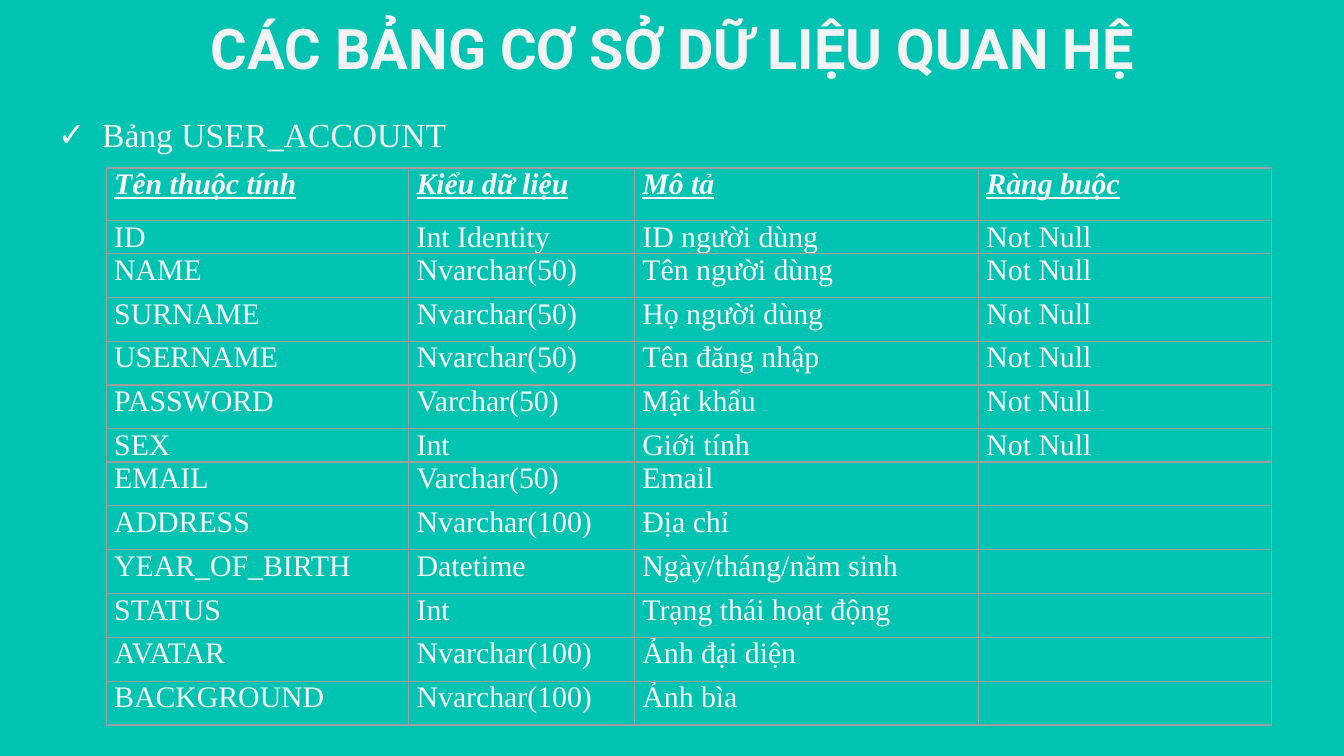
import pptx
import pptx.util
import pptx.dml.color
import pptx.enum.text
import pptx.oxml
import pptx.oxml.ns
from lxml import etree

Inches, Pt = pptx.util.Inches, pptx.util.Pt
RGBColor = pptx.dml.color.RGBColor
PP_ALIGN, MSO_ANCHOR = pptx.enum.text.PP_ALIGN, pptx.enum.text.MSO_ANCHOR
qn = pptx.oxml.ns.qn

# Content
TITLE = "CÁC BẢNG CƠ SỞ DỮ LIỆU QUAN HỆ"
SUBTITLE = "Bảng USER_ACCOUNT"
HEADER = ("Tên thuộc tính", "Kiểu dữ liệu", "Mô tả", "Ràng buộc")
ATTRIBUTES = [
    ("ID", "Int Identity", "ID người dùng", "Not Null"),
    ("NAME", "Nvarchar(50)", "Tên người dùng", "Not Null"),
    ("SURNAME", "Nvarchar(50)", "Họ người dùng", "Not Null"),
    ("USERNAME", "Nvarchar(50)", "Tên đăng nhập", "Not Null"),
    ("PASSWORD", "Varchar(50)", "Mật khẩu", "Not Null"),
    ("SEX", "Int", "Giới tính", "Not Null"),
    ("EMAIL", "Varchar(50)", "Email", ""),
    ("ADDRESS", "Nvarchar(100)", "Địa chỉ", ""),
    ("YEAR_OF_BIRTH", "Datetime", "Ngày/tháng/năm sinh", ""),
    ("STATUS", "Int", "Trạng thái hoạt động", ""),
    ("AVATAR", "Nvarchar(100)", "Ảnh đại diện", ""),
    ("BACKGROUND", "Nvarchar(100)", "Ảnh bìa", ""),
]
SHORT_ROWS = ("ID", "SEX")

THEME = {
    "background": "00C3B1", "heading": "F3F3F3", "cell": "F8F8F8", "border": "9E9E9E",
    "title_font": "Roboto", "body_font": "Times New Roman",
    "title_size": 30, "subtitle_size": 18, "cell_size": 16, "border_width": 0.75,
}

# Table geometry in inches
TABLE_LEFT, TABLE_TOP, TABLE_HEIGHT = 0.79, 1.25, 4.13
COLUMN_WIDTHS = (2.25, 1.68, 2.56, 2.18)
HEADER_HEIGHT, SHORT_HEIGHT = 0.39, 0.24


def style(font, name, size, color):
    font.name, font.size = THEME[name], Pt(THEME[size])
    font.color.rgb = RGBColor.from_string(THEME[color])


def fill_placeholder(shape, text, box, align):
    shape.left, shape.top, shape.width, shape.height = map(Inches, box)
    tf = shape.text_frame
    tf.text = text
    tf.word_wrap = True
    tf.auto_size = pptx.enum.text.MSO_AUTO_SIZE.NONE
    tf.vertical_anchor = MSO_ANCHOR.TOP
    tf.margin_left = tf.margin_top = tf.margin_right = tf.margin_bottom = Inches(0.1)
    p = tf.paragraphs[0]
    p.alignment = align
    p.space_before = Pt(0)
    return p


def add_check_bullet(p):
    pPr = p._p.get_or_add_pPr()
    pPr.set("marL", str(Inches(0.5)))
    pPr.set("indent", str(-Inches(0.33)))
    color = etree.SubElement(pPr, qn("a:buClr"))
    etree.SubElement(color, qn("a:srgbClr"), val=THEME["heading"])
    etree.SubElement(pPr, qn("a:buChar"), char="✓")


def add_borders(cell):
    tcPr = cell._tc.get_or_add_tcPr()
    for side in ("a:lnL", "a:lnR", "a:lnT", "a:lnB"):
        line = etree.SubElement(tcPr, qn(side), w=str(Pt(THEME["border_width"])))
        fill = etree.SubElement(line, qn("a:solidFill"))
        etree.SubElement(fill, qn("a:srgbClr"), val=THEME["border"])


def add_attribute_table(s):
    rows = [HEADER] + ATTRIBUTES
    table = s.shapes.add_table(
        len(rows), len(HEADER), Inches(TABLE_LEFT), Inches(TABLE_TOP),
        Inches(sum(COLUMN_WIDTHS)), Inches(TABLE_HEIGHT)).table
    table.first_row = table.horz_banding = False
    for column, width in zip(table.columns, COLUMN_WIDTHS):
        column.width = Inches(width)

    # Regular rows share the height left by the header and the short rows
    rest = TABLE_HEIGHT - HEADER_HEIGHT - SHORT_HEIGHT * len(SHORT_ROWS)
    regular = rest / (len(ATTRIBUTES) - len(SHORT_ROWS))
    for i, values in enumerate(rows):
        height = SHORT_HEIGHT if values[0] in SHORT_ROWS else regular
        table.rows[i].height = Inches(height if i else HEADER_HEIGHT)
        for j, value in enumerate(values):
            cell = table.cell(i, j)
            cell.margin_left = cell.margin_right = Inches(0.06)
            cell.margin_top = cell.margin_bottom = 0
            add_borders(cell)
            cell.fill.background()
            if not value:
                continue
            cell.text = value
            font = cell.text_frame.paragraphs[0].runs[0].font
            style(font, "body_font", "cell_size", "cell")
            font.bold = font.italic = font.underline = i == 0


def main():
    prs = pptx.Presentation()
    # Widescreen 16:9
    prs.slide_width = Inches(10)
    prs.slide_height = prs.slide_width * 9 // 16
    s = prs.slides.add_slide(prs.slide_layouts[0])
    s.background.fill.solid()
    s.background.fill.fore_color.rgb = RGBColor.from_string(THEME["background"])

    # Title
    p = fill_placeholder(s.shapes.title, TITLE, (0.79, 0, 8.43, 0.63), PP_ALIGN.CENTER)
    style(p.runs[0].font, "title_font", "title_size", "heading")
    p.runs[0].font.bold = True

    # Table name
    p = fill_placeholder(s.placeholders[1], SUBTITLE, (0.16, 0.75, 9.41, 4.62), PP_ALIGN.LEFT)
    add_check_bullet(p)
    style(p.runs[0].font, "body_font", "subtitle_size", "heading")

    # Attributes
    add_attribute_table(s)
    prs.save("out.pptx")


if __name__ == "__main__":
    main()
